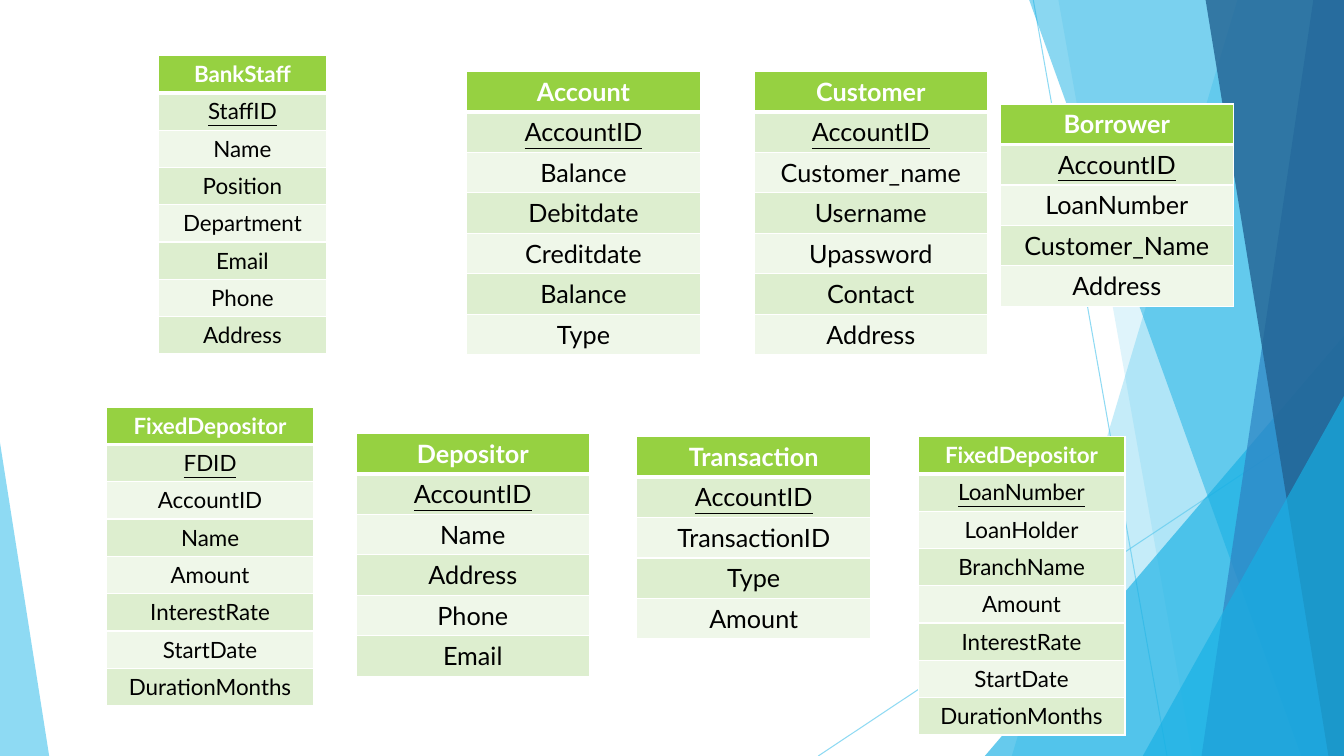
from dataclasses import dataclass

from pptx import Presentation
from pptx.dml.color import RGBColor
from pptx.enum.shapes import MSO_CONNECTOR, MSO_SHAPE
from pptx.enum.text import PP_ALIGN
from pptx.oxml.ns import qn
from pptx.oxml.xmlchemy import OxmlElement
from pptx.util import Cm, Pt

STRAIGHT = MSO_CONNECTOR.STRAIGHT
TRIANGLE = MSO_SHAPE.ISOSCELES_TRIANGLE
CENTER = PP_ALIGN.CENTER

SLIDE_WIDTH, SLIDE_HEIGHT = 33.87, 19.05
PANEL_TOP = -0.02
FONT = "Lato"
ROW_HEIGHTS = {16: 0.94, 18: 1.02}  # centimetres for each text size
COLORS = {
    "sky": "5FCBEF",
    "cyan": "17B0E4",
    "blue": "2E83C3",
    "navy": "226292",
    "header": "96D141",
    "odd_row": "DDEECF",
    "even_row": "EFF7E9",
    "white": "FFFFFF",
    "black": "000000",
}


@dataclass
class Ray:
    start: tuple[float, float]
    end: tuple[float, float]


@dataclass
class Panel:
    """A band from a slanted left side to the right edge of the slide."""
    top_left: float
    bottom_left: float
    color: str
    opacity: int


@dataclass
class Corner:
    """A triangle standing on the bottom edge; apex 0 is left, 1 is right."""
    left: float
    top: float
    width: float
    apex: int
    color: str
    opacity: int


@dataclass
class Entity:
    name: str
    left: float
    top: float
    key: str
    fields: list[str]
    width: float = 5.89
    size: int = 18


RAYS = [
    Ray((26.04, 0), (29.41, SLIDE_HEIGHT)),
    Ray((SLIDE_WIDTH, 10.24), (20.62, SLIDE_HEIGHT)),
]
FACETS = [
    Panel(31.19, 25.5, "sky", 36),
    Panel(26.67, 30.05, "sky", 20),
    Corner(24.82, 8.46, 9.05, 1, "cyan", 66),
    Panel(25.93, 32.79, "cyan", 50),
    Panel(33.1, 30.28, "blue", 70),
    Panel(30.38, 33.48, "navy", 80),
    Corner(28.8, 9.98, 5.07, 1, "cyan", 66),
    Corner(0, 11.15, 1.24, 0, "sky", 70),
]
ENTITIES = [
    Entity("BankStaff", 3.99, 1.4, "StaffID",
           ["Name", "Position", "Department", "Email", "Phone", "Address"], 4.24, 16),
    Entity("Account", 11.76, 1.8, "AccountID",
           ["Balance", "Debitdate", "Creditdate", "Balance", "Type"]),
    Entity("Customer", 19, 1.8, "AccountID",
           ["Customer_name", "Username", "Upassword", "Contact", "Address"]),
    Entity("FixedDepositor", 2.69, 10.26, "FDID",
           ["AccountID", "Name", "Amount", "InterestRate", "StartDate", "DurationMonths"],
           5.21, 16),
    Entity("Depositor", 8.97, 10.92, "AccountID", ["Name", "Address", "Phone", "Email"]),
    Entity("Transaction", 16.05, 11, "AccountID", ["TransactionID", "Type", "Amount"]),
    Entity("Borrower", 25.2, 2.62, "AccountID", ["LoanNumber", "Customer_Name", "Address"]),
    Entity("FixedDepositor", 23.14, 11, "LoanNumber",
           ["LoanHolder", "BranchName", "Amount", "InterestRate", "StartDate", "DurationMonths"],
           5.21, 16),
]


def rgb(color: str) -> RGBColor:
    return RGBColor.from_string(COLORS[color])


def set_opacity(shape, percent: int) -> None:
    for color in shape.element.spPr.iter(qn("a:srgbClr")):
        alpha = OxmlElement("a:alpha")
        alpha.set("val", str(percent * 1000))
        color.append(alpha)


def draw_ray(slide, ray: Ray) -> None:
    connector = slide.shapes.add_connector(
        STRAIGHT, *(Cm(value) for value in ray.start + ray.end))
    connector.line.color.rgb = rgb("sky")
    connector.line.width = Pt(0.75)
    connector.element.spPr.append(OxmlElement("a:effectLst"))
    set_opacity(connector, 70)


def add_panel(slide, panel: Panel):
    builder = slide.shapes.build_freeform(Cm(panel.top_left), Cm(PANEL_TOP))
    corners = [(SLIDE_WIDTH, PANEL_TOP), (SLIDE_WIDTH, SLIDE_HEIGHT),
               (panel.bottom_left, SLIDE_HEIGHT)]
    builder.add_line_segments([(Cm(x), Cm(y)) for x, y in corners], close=True)
    return builder.convert_to_shape()


def add_corner(slide, corner: Corner):
    shape = slide.shapes.add_shape(
        TRIANGLE, Cm(corner.left), Cm(corner.top),
        Cm(corner.width), Cm(SLIDE_HEIGHT - corner.top))
    shape.adjustments[0] = corner.apex
    return shape


def draw_facet(slide, facet: Panel | Corner) -> None:
    add_facet = add_panel if isinstance(facet, Panel) else add_corner
    shape = add_facet(slide, facet)
    shape.shadow.inherit = False
    shape.fill.solid()
    shape.fill.fore_color.rgb = rgb(facet.color)
    shape.line.fill.background()
    set_opacity(shape, facet.opacity)


def set_borders(cell, top: float, bottom: float) -> None:
    """Give the cell white borders; widths are in points."""
    properties = cell._tc.get_or_add_tcPr()
    for side, width in (("L", 1), ("R", 1), ("T", top), ("B", bottom)):
        border = OxmlElement(f"a:ln{side}")
        border.set("w", str(Pt(width)))
        fill = OxmlElement("a:solidFill")
        color = OxmlElement("a:srgbClr")
        color.set("val", COLORS["white"])
        fill.append(color)
        border.append(fill)
        properties.append(border)


def write_cell(cell, text: str, *, size: int, color: str, fill: str,
               bold: bool = False, underline: bool = False) -> None:
    cell.fill.solid()
    cell.fill.fore_color.rgb = rgb(fill)
    paragraph = cell.text_frame.paragraphs[0]
    paragraph.alignment = CENTER
    run = paragraph.add_run()
    run.text = text
    run.font.name = FONT
    run.font.size = Pt(size)
    run.font.bold = bold
    run.font.underline = underline
    run.font.color.rgb = rgb(color)


def draw_entity(slide, entity: Entity) -> None:
    texts = [entity.name, entity.key, *entity.fields]
    row_height = ROW_HEIGHTS[entity.size]
    table = slide.shapes.add_table(
        len(texts), 1, Cm(entity.left), Cm(entity.top),
        Cm(entity.width), Cm(row_height * len(texts))).table
    for index, text in enumerate(texts):
        table.rows[index].height = Cm(row_height)
        cell = table.cell(index, 0)
        is_header, is_key = index == 0, index == 1
        set_borders(cell, top=3 if is_key else 1, bottom=3 if is_header else 1)
        band = "odd_row" if index % 2 else "even_row"
        write_cell(cell, text, size=entity.size, bold=is_header, underline=is_key,
                   color="white" if is_header else "black",
                   fill="header" if is_header else band)


def main() -> None:
    presentation = Presentation()
    presentation.slide_width = Cm(SLIDE_WIDTH)
    presentation.slide_height = Cm(SLIDE_HEIGHT)
    slide = presentation.slides.add_slide(presentation.slide_layouts[6])
    for ray in RAYS:
        draw_ray(slide, ray)
    for facet in FACETS:
        draw_facet(slide, facet)
    for entity in ENTITIES:
        draw_entity(slide, entity)
    presentation.save("out.pptx")


if __name__ == "__main__":
    main()
